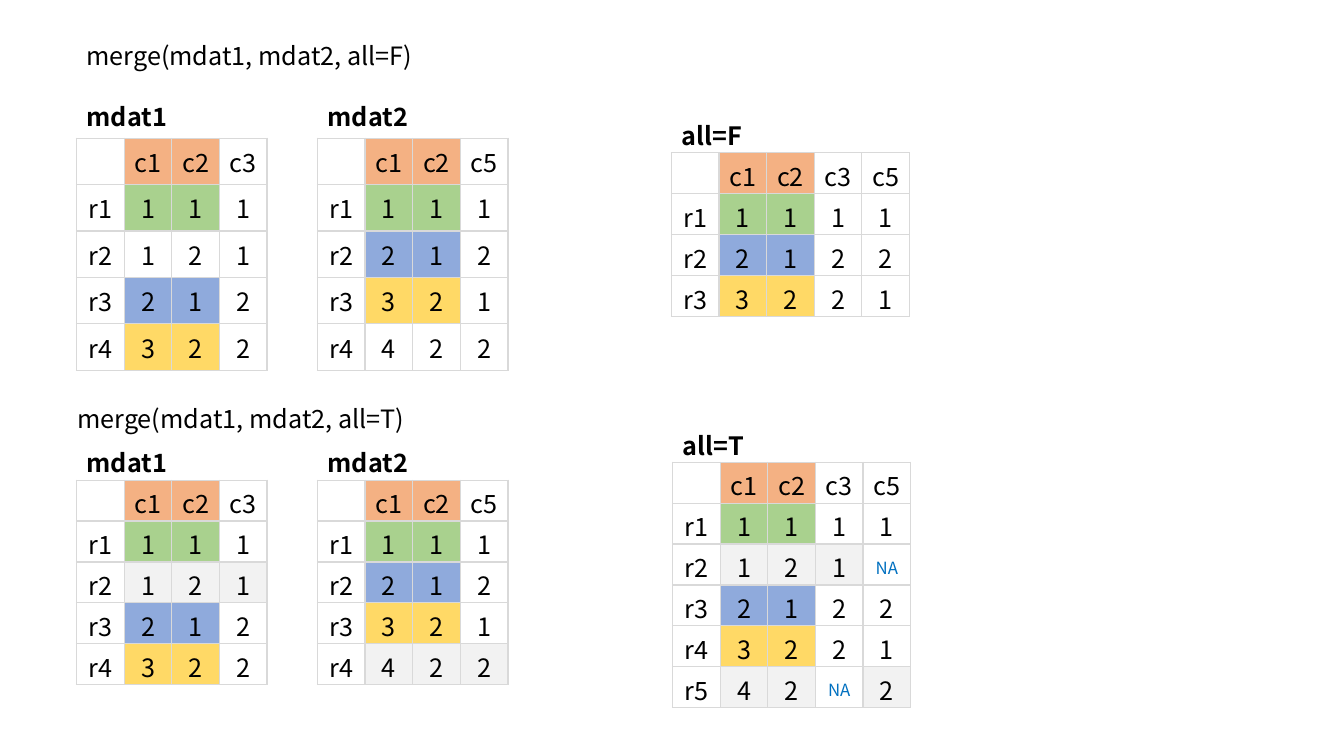
from lxml.etree import SubElement
from pptx import Presentation
from pptx.dml.color import RGBColor
from pptx.enum.text import MSO_ANCHOR as Anchor, MSO_AUTO_SIZE as AutoSize, PP_ALIGN as Align
from pptx.oxml.ns import qn
from pptx.util import Cm, Pt

FONT = "Noto Sans CJK KR"
COLUMN = 1.2
KEY_COLORS = {("c1", "c2"): "F4B183", ("1", "1"): "A9D18E",
              ("2", "1"): "8FAADC", ("3", "2"): "FFD966"}
UNMATCHED = "F2F2F2"
GRID = "D9D9D9"
WHITE = "FFFFFF"

MDAT1 = ["- c1 c2 c3", "r1 1 1 1", "r2 1 2 1", "r3 2 1 2", "r4 3 2 2"]
MDAT2 = ["- c1 c2 c5", "r1 1 1 1", "r2 2 1 2", "r3 3 2 1", "r4 4 2 2"]
INNER = ["- c1 c2 c3 c5", "r1 1 1 1 1", "r2 2 1 2 2", "r3 3 2 2 1"]
OUTER = ["- c1 c2 c3 c5", "r1 1 1 1 1", "r2 1 2 1 NA", "r3 2 1 2 2",
         "r4 3 2 2 1", "r5 4 2 NA 2"]

ROOMY = {"margin_top": Cm(0.13), "margin_bottom": Cm(0.13)}
TIGHT = {"margin_top": Cm(0.11), "margin_bottom": 0}


def color(value):
    """Turn a hex string into a colour."""
    return RGBColor.from_string(value)


def apply(target, values):
    """Set every attribute named in values on target."""
    for name, value in values.items():
        setattr(target, name, value)


def write(paragraph, wording, size=18, ink="000000", bold=False):
    """Add one formatted run to a paragraph."""
    run = paragraph.add_run()
    run.text = wording
    apply(run.font, {"name": FONT, "size": Pt(size), "bold": bold})
    run.font.color.rgb = color(ink)


def draw_borders(cell, edges):
    """Give a cell 1 pt borders, one colour for each edge in L, R, T, B order."""
    properties = cell._tc.get_or_add_tcPr()
    for side, edge in zip("LRTB", edges):
        line = SubElement(properties, qn(f"a:ln{side}"), w=str(Pt(1)))
        solid = SubElement(line, qn("a:solidFill"))
        SubElement(solid, qn("a:srgbClr"), val=edge)


def shade_of(entries, index, show_unmatched):
    """Choose a cell colour from the merge key of its row."""
    key = tuple(entries[1:3])
    if key in KEY_COLORS:
        return KEY_COLORS[key] if index in (1, 2) else None
    if show_unmatched and index and entries[index] != "NA":
        return UNMATCHED
    return None


def add_data(slide, left, top, title, records, row_height, margins, show_unmatched=False):
    """Place a titled data table with its top left corner at the given point."""
    rows = [record.split() for record in records]
    count = len(rows[0])
    table = slide.shapes.add_table(
        len(rows) + 1, count, Cm(left), Cm(top),
        Cm(COLUMN * count), Cm(row_height * (len(rows) + 1))).table
    apply(table, {"first_row": False, "horz_banding": False})
    for column in table.columns:
        column.width = Cm(COLUMN)
    for row in table.rows:
        row.height = Cm(row_height)

    heading = table.cell(0, 0)
    heading.merge(table.cell(0, count - 1))
    for index in range(count):
        part = table.cell(0, index)
        draw_borders(part, (WHITE, WHITE, WHITE, GRID))
        part.fill.background()
    apply(heading, margins)
    write(heading.text_frame.paragraphs[0], title, bold=True)

    for number, entries in enumerate(rows, 1):
        for index, entry in enumerate(entries):
            cell = table.cell(number, index)
            draw_borders(cell, [GRID] * 4)
            apply(cell, {"vertical_anchor": Anchor.MIDDLE, "margin_left": Cm(0.1),
                         "margin_right": Cm(0.1), **margins})
            shade = shade_of(entries, index, show_unmatched)
            if shade:
                cell.fill.solid()
                cell.fill.fore_color.rgb = color(shade)
            else:
                cell.fill.background()
            paragraph = cell.text_frame.paragraphs[0]
            paragraph.alignment = Align.CENTER
            if entry == "NA":
                write(paragraph, entry, size=12, ink="0070C0")
            elif entry != "-":
                write(paragraph, entry)


def add_call(slide, left, top, wording):
    """Place the line of code that heads a merge."""
    frame = slide.shapes.add_textbox(Cm(left), Cm(top), Cm(16.94), Cm(1.02)).text_frame
    apply(frame, {"word_wrap": True, "auto_size": AutoSize.SHAPE_TO_FIT_TEXT})
    write(frame.paragraphs[0], wording)


def add_inner_merge(slide, left, top):
    """Place the merge that keeps matching rows only."""
    add_call(slide, left, top, "merge(mdat1, mdat2, all=F)")
    add_data(slide, left, top + 1.42, "mdat1", MDAT1, 1.17, ROOMY)
    add_data(slide, left + 6.07, top + 1.42, "mdat2", MDAT2, 1.17, ROOMY)
    add_data(slide, left + 14.99, top + 1.93, "all=F", INNER, 1.03, TIGHT)


def add_outer_merge(slide, left, top):
    """Place the merge that keeps all rows."""
    add_call(slide, left - 0.23, top, "merge(mdat1, mdat2, all=T)")
    add_data(slide, left, top + 1.04, "mdat1", MDAT1, 1.03, TIGHT, True)
    add_data(slide, left + 6.07, top + 1.04, "mdat2", MDAT2, 1.03, TIGHT, True)
    add_data(slide, left + 15.02, top + 0.59, "all=T", OUTER, 1.03, TIGHT, True)


def main():
    """Build the slide and save it."""
    deck = Presentation()
    apply(deck, {"slide_width": Cm(33.87), "slide_height": Cm(19.05)})
    slide = deck.slides.add_slide(deck.slide_layouts[6])
    add_inner_merge(slide, 1.93, 0.89)
    add_outer_merge(slide, 1.93, 10.03)
    deck.save("out.pptx")


if __name__ == "__main__":
    main()
